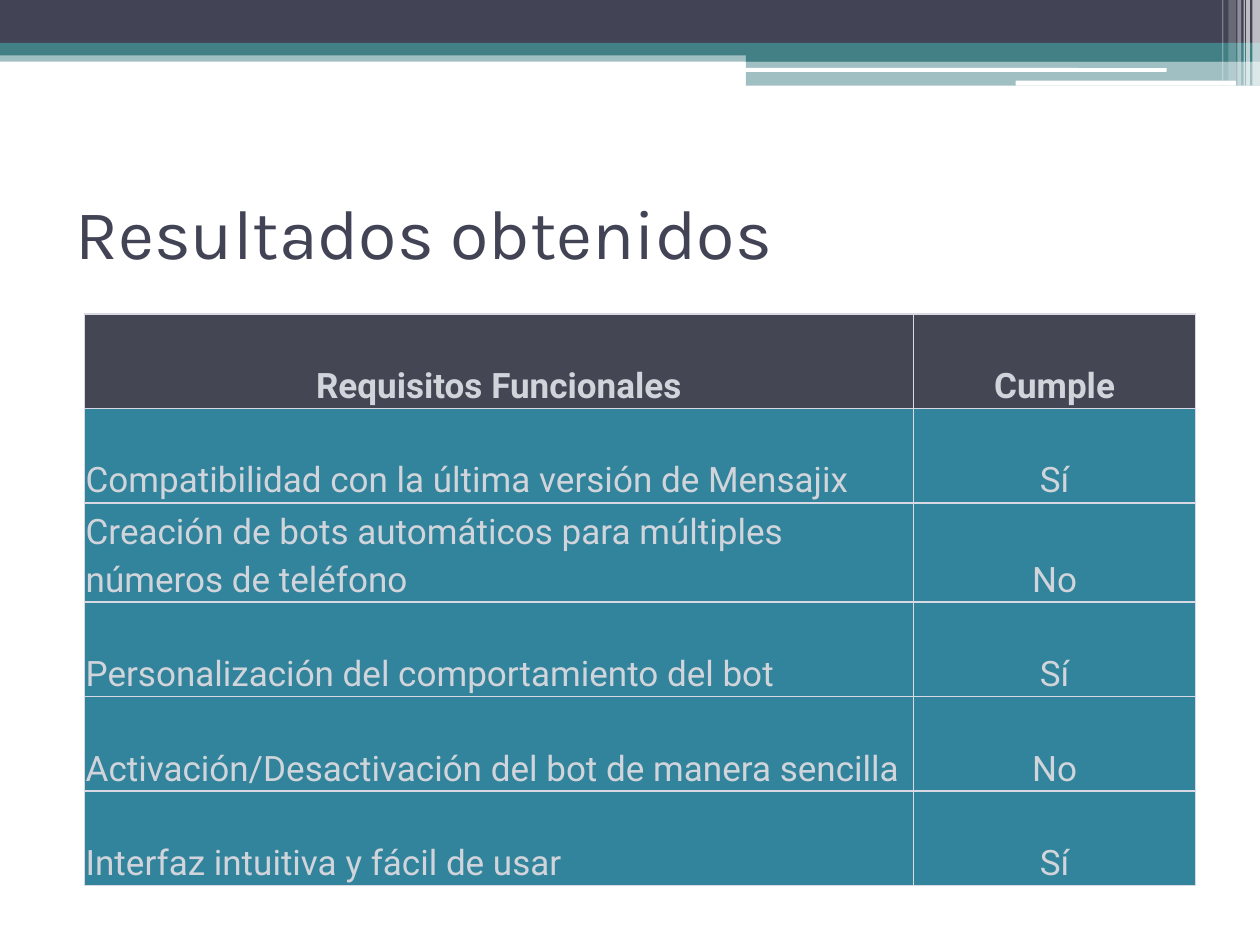
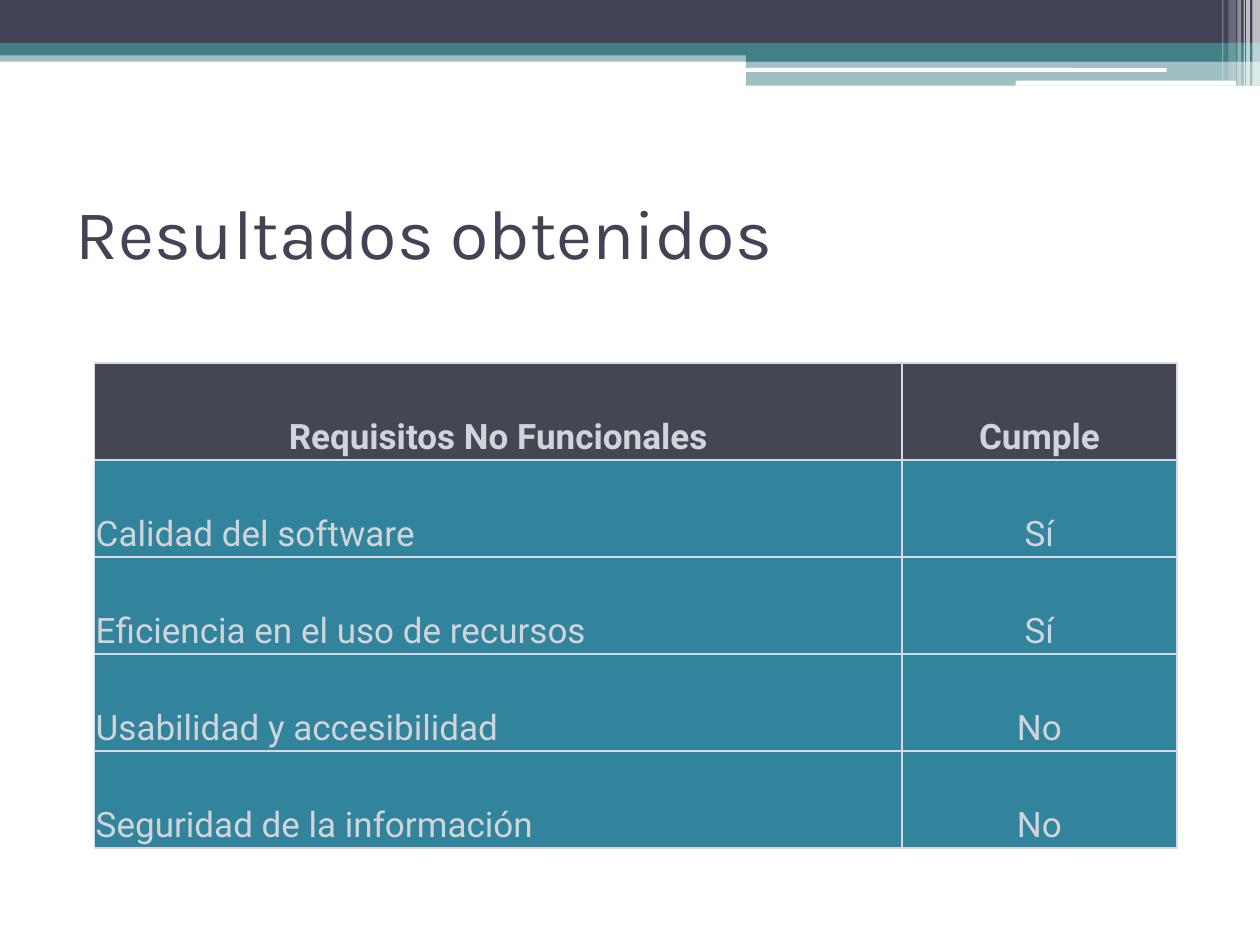
from dataclasses import dataclass

import pptx
import pptx.dml.color
import pptx.enum.shapes
import pptx.enum.text
import pptx.oxml.ns
import pptx.presentation
import pptx.shapes.autoshape
import pptx.slide
import pptx.table
import pptx.util
from lxml import etree

Inches = pptx.util.Inches
Pt = pptx.util.Pt
RGBColor = pptx.dml.color.RGBColor
MSO_SHAPE = pptx.enum.shapes.MSO_SHAPE
MSO_ANCHOR = pptx.enum.text.MSO_ANCHOR
PP_ALIGN = pptx.enum.text.PP_ALIGN
qn = pptx.oxml.ns.qn

INK = RGBColor(0x42, 0x44, 0x56)
TEAL = RGBColor(0x43, 0x80, 0x86)
WHITE = RGBColor(0xFF, 0xFF, 0xFF)
HEADER_FILL = RGBColor(0x44, 0x46, 0x54)
BODY_FILL = RGBColor(0x31, 0x84, 0x9B)
CELL_TEXT = RGBColor(0xD1, 0xD5, 0xDB)
CELL_BORDER = RGBColor(0xD9, 0xD9, 0xE3)

TITLE_FONT = "Karla"
TABLE_FONT = "Roboto"
TITLE = "Resultados obtenidos"
BLANK_LAYOUT = 6


@dataclass(frozen=True)
class Band:
    left: float
    top: float
    width: float
    height: float
    color: RGBColor
    opacity: int = 100
    rounded: bool = False


@dataclass(frozen=True)
class Requirement:
    name: str
    met: bool


@dataclass(frozen=True)
class ResultsTable:
    heading: str
    left: float
    top: float
    column_widths: tuple[float, float]
    row_height: float
    requirements: tuple[Requirement, ...]


BANDS = (
    Band(0, 0.4, 10, 0.09, TEAL, 50),
    Band(0, 0, 10, 0.34, INK),
    Band(0, 0.34, 10, 0.1, TEAL),
    Band(5.92, 0.39, 4.08, 0.1, TEAL),
    Band(5.92, 0.48, 4.08, 0.2, TEAL, 50),
    Band(5.91, 0.54, 3.35, 0.03, WHITE, rounded=True),
    Band(8.06, 0.64, 1.75, 0.04, WHITE, rounded=True),
    Band(9.94, 0, 0.06, 0.68, WHITE, 65),
    Band(9.89, 0, 0.03, 0.68, WHITE, 65),
    Band(9.87, 0, 0.01, 0.68, WHITE, 60),
    Band(9.82, 0, 0.03, 0.68, WHITE, 40),
    Band(9.75, 0, 0.06, 0.64, WHITE, 20),
    Band(9.7, 0, 0.01, 0.64, WHITE, 30),
)

RESULTS = (
    ResultsTable(
        "Requisitos Funcionales", 0.67, 2.49, (6.58, 2.24), 0.75,
        (
            Requirement("Compatibilidad con la última versión de Mensajix", True),
            Requirement(
                "Creación de bots automáticos para múltiples números de teléfono", False
            ),
            Requirement("Personalización del comportamiento del bot", True),
            Requirement("Activación/Desactivación del bot de manera sencilla", False),
            Requirement("Interfaz intuitiva y fácil de usar", True),
        ),
    ),
    ResultsTable(
        "Requisitos No Funcionales", 0.75, 2.88, (6.41, 2.18), 0.77,
        (
            Requirement("Calidad del software", True),
            Requirement("Eficiencia en el uso de recursos", True),
            Requirement("Usabilidad y accesibilidad", False),
            Requirement("Seguridad de la información", False),
        ),
    ),
)


def set_opacity(shape: pptx.shapes.autoshape.Shape, percent: int) -> None:
    color = shape.fill._xPr.find(qn("a:solidFill"))[0]
    etree.SubElement(color, qn("a:alpha"), val=str(percent * 1000))


def add_band(slide: pptx.slide.Slide, band: Band) -> None:
    outline = MSO_SHAPE.ROUNDED_RECTANGLE if band.rounded else MSO_SHAPE.RECTANGLE
    shape = slide.shapes.add_shape(
        outline,
        Inches(band.left), Inches(band.top), Inches(band.width), Inches(band.height),
    )
    shape.shadow.inherit = False
    shape.line.fill.background()
    shape.fill.solid()
    shape.fill.fore_color.rgb = band.color
    if band.opacity < 100:
        set_opacity(shape, band.opacity)


def add_title(slide: pptx.slide.Slide) -> None:
    title = slide.shapes.add_textbox(Inches(0.5), Inches(1.25), Inches(9), Inches(1.17))
    frame = title.text_frame
    frame.word_wrap = True
    frame.vertical_anchor = MSO_ANCHOR.MIDDLE
    run = frame.paragraphs[0].add_run()
    run.text = TITLE
    run.font.name = TITLE_FONT
    run.font.size = Pt(40)
    run.font.color.rgb = INK


def add_borders(cell: pptx.table._Cell) -> None:
    """Outline all four sides; must run before the fill to keep the XML order valid."""
    properties = cell._tc.get_or_add_tcPr()
    for side in ("lnL", "lnR", "lnT", "lnB"):
        line = etree.SubElement(properties, qn(f"a:{side}"), w=str(Pt(1)))
        fill = etree.SubElement(line, qn("a:solidFill"))
        etree.SubElement(fill, qn("a:srgbClr"), val=str(CELL_BORDER))


def fill_cell(
    cell: pptx.table._Cell, text: str, centered: bool, is_header: bool
) -> None:
    add_borders(cell)
    cell.fill.solid()
    cell.fill.fore_color.rgb = HEADER_FILL if is_header else BODY_FILL
    cell.vertical_anchor = MSO_ANCHOR.BOTTOM
    cell.margin_left = cell.margin_right = Inches(0.01)
    cell.margin_top = cell.margin_bottom = Inches(0.01)

    paragraph = cell.text_frame.paragraphs[0]
    paragraph.alignment = PP_ALIGN.CENTER if centered else PP_ALIGN.LEFT
    paragraph.line_spacing = 1.15
    paragraph.space_before = paragraph.space_after = Pt(24)
    run = paragraph.add_run()
    run.text = text
    run.font.name = TABLE_FONT
    run.font.size = Pt(20)
    run.font.bold = is_header
    run.font.color.rgb = CELL_TEXT


def add_results_table(slide: pptx.slide.Slide, results: ResultsTable) -> None:
    rows = [(results.heading, "Cumple")]
    rows += [(item.name, "Sí" if item.met else "No") for item in results.requirements]
    table = slide.shapes.add_table(
        len(rows), len(results.column_widths),
        Inches(results.left), Inches(results.top),
        Inches(sum(results.column_widths)), Inches(results.row_height * len(rows)),
    ).table
    table.first_row = table.horz_banding = False
    for column, width in zip(table.columns, results.column_widths):
        column.width = Inches(width)
    for row_index, texts in enumerate(rows):
        table.rows[row_index].height = Inches(results.row_height)
        is_header = row_index == 0
        for column_index, text in enumerate(texts):
            centered = is_header or column_index == 1
            fill_cell(table.cell(row_index, column_index), text, centered, is_header)


def add_results_slide(
    deck: pptx.presentation.Presentation, results: ResultsTable
) -> None:
    slide = deck.slides.add_slide(deck.slide_layouts[BLANK_LAYOUT])
    for band in BANDS:
        add_band(slide, band)
    add_title(slide)
    add_results_table(slide, results)


def main() -> None:
    deck = pptx.Presentation()
    deck.slide_width = Inches(10)
    deck.slide_height = Inches(7.5)
    for results in RESULTS:
        add_results_slide(deck, results)
    deck.save("out.pptx")


if __name__ == "__main__":
    main()
